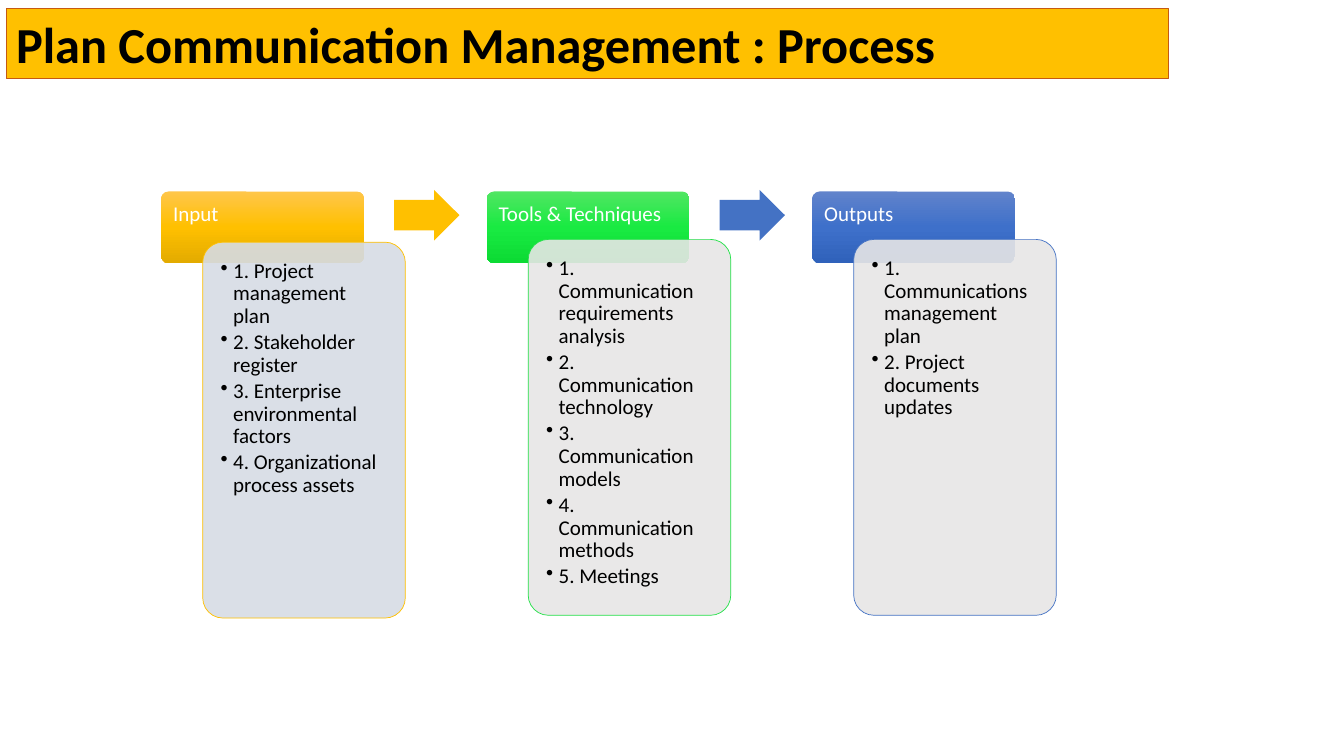
from copy import deepcopy

from lxml import etree
from pptx import Presentation
from pptx.dml.color import RGBColor
from pptx.enum.shapes import MSO_SHAPE
from pptx.enum.text import MSO_ANCHOR, PP_ALIGN
from pptx.oxml.ns import qn
from pptx.util import Pt

ROUNDED = MSO_SHAPE.ROUNDED_RECTANGLE
ARROW = MSO_SHAPE.RIGHT_ARROW
TOP, MIDDLE = MSO_ANCHOR.TOP, MSO_ANCHOR.MIDDLE
LEFT = PP_ALIGN.LEFT
TITLE_ONLY = 5
FONT = "Calibri"

COLORS = {
    "black": "000000", "white": "FFFFFF", "amber": "FFC000", "rust": "C55A11",
    "green": "23E148", "blue": "4472C4", "mist": "D6DCE5", "gray": "E7E6E6",
}
HEADER_GRADIENTS = {
    "amber": ("FFC64B", "FFC000", "E3AB00"),
    "green": ("51E663", "19EA42", "0CDB34"),
    "blue": ("6183CB", "3E70CA", "3062BB"),
}

# heading, accent, panel fill, panel top, items
STAGES = [
    ("Input", "amber", "mist", 173, [
        "1. Project management plan", "2. Stakeholder register",
        "3. Enterprise environmental factors",
        "4. Organizational process assets"]),
    ("Tools & Techniques", "green", "gray", 171, [
        "1. Communication requirements analysis",
        "2. Communication technology", "3. Communication models",
        "4. Communication methods", "5. Meetings"]),
    ("Outputs", "blue", "gray", 171, [
        "1. Communications management plan",
        "2. Project documents updates"]),
]
STAGE_LEFT, STAGE_PITCH, STAGE_WIDTH = 115.2, 232.5, 144.7
HEADER_TOP, HEADER_HEIGHT = 136.8, 51
PANEL_SHIFT, PANEL_HEIGHT = 29.6, 268.5
ARROW_SHIFT, ARROW_TOP, ARROW_WIDTH, ARROW_HEIGHT = 166.4, 135.6, 46.6, 36.2


def color(name):
    return RGBColor.from_string(COLORS[name])


def set_frame(shape, anchor, insets):
    frame = shape.text_frame
    frame.word_wrap = True
    frame.vertical_anchor = anchor
    (frame.margin_left, frame.margin_top,
     frame.margin_right, frame.margin_bottom) = map(Pt, insets)
    return frame


def add_text(paragraph, text, size, color_name, bold=False):
    paragraph.alignment = LEFT
    run = paragraph.add_run()
    run.text = text
    run.font.name = FONT
    run.font.size = Pt(size)
    run.font.bold = bold
    run.font.color.rgb = color(color_name)


def set_bullet(paragraph, indent):
    properties = paragraph._p.get_or_add_pPr()
    properties.set("marL", str(Pt(indent)))
    properties.set("indent", str(-Pt(indent)))
    etree.SubElement(properties, qn("a:buChar")).set("char", "•")


def set_outline(shape, color_name, width):
    shape.line.color.rgb = color(color_name)
    shape.line.width = Pt(width)


def set_transparent_fill(shape, color_name, opacity):
    shape.fill.solid()
    shape.fill.fore_color.rgb = color(color_name)
    rgb = shape._element.spPr.find(qn("a:solidFill")).find(qn("a:srgbClr"))
    etree.SubElement(rgb, qn("a:alpha")).set("val", str(opacity * 1000))


def set_gradient(shape, hex_stops):
    """Fill from top to bottom with three evenly spaced colours."""
    shape.fill.gradient()
    shape.fill.gradient_angle = 270
    stops = shape._element.spPr.find(qn("a:gradFill")).find(qn("a:gsLst"))
    stops.append(deepcopy(stops[0]))
    for index, (stop, value) in enumerate(
            zip(shape.fill.gradient_stops, hex_stops)):
        stop.position = index / 2
        stop.color.rgb = RGBColor.from_string(value)


def add_shape(slide, kind, box, adjustments):
    shape = slide.shapes.add_shape(kind, *map(Pt, box))
    shape.shadow.inherit = False
    for index, value in enumerate(adjustments):
        shape.adjustments[index] = value
    return shape


def add_title(slide, text):
    title = slide.shapes.title
    title.left, title.top, title.width, title.height = map(
        Pt, (4.3, 5.8, 830.2, 50.4))
    title.fill.solid()
    title.fill.fore_color.rgb = color("amber")
    set_outline(title, "rust", 0.75)
    frame = set_frame(title, MIDDLE, (7.2, 3.6, 7.2, 3.6))
    add_text(frame.paragraphs[0], text, 36, "black", bold=True)


def add_header(slide, left, text, accent):
    header = add_shape(
        slide, ROUNDED, (left, HEADER_TOP, STAGE_WIDTH, HEADER_HEIGHT), [0.1])
    set_gradient(header, HEADER_GRADIENTS[accent])
    header.line.fill.background()
    paragraph = set_frame(header, TOP, (7, 7, 7, 4)).paragraphs[0]
    paragraph.line_spacing = 0.9
    add_text(paragraph, text, 15, "white")


def add_panel(slide, left, top, items, accent, fill):
    panel = add_shape(
        slide, ROUNDED, (left, top, STAGE_WIDTH, PANEL_HEIGHT), [0.1])
    set_transparent_fill(panel, fill, 90)
    set_outline(panel, accent, 0.5)
    frame = set_frame(panel, TOP, (8.5, 8.5, 8.5, 8.5))
    for index, item in enumerate(items):
        paragraph = frame.add_paragraph() if index else frame.paragraphs[0]
        set_bullet(paragraph, 9)
        paragraph.line_spacing = 0.9
        paragraph.space_after = Pt(2.4)
        add_text(paragraph, item, 15, "black")


def add_arrow(slide, left, accent):
    arrow = add_shape(
        slide, ARROW, (left, ARROW_TOP, ARROW_WIDTH, ARROW_HEIGHT), [0.6, 0.5])
    arrow.fill.solid()
    arrow.fill.fore_color.rgb = color(accent)
    arrow.line.fill.background()


def main():
    presentation = Presentation()
    presentation.slide_width, presentation.slide_height = Pt(960), Pt(540)
    slide = presentation.slides.add_slide(
        presentation.slide_layouts[TITLE_ONLY])
    add_title(slide, "Plan Communication Management : Process")

    arrow_accents = ["amber", "blue"]
    for index, (heading, accent, fill, top, items) in enumerate(STAGES):
        left = STAGE_LEFT + index * STAGE_PITCH
        add_header(slide, left, heading, accent)
        add_panel(slide, left + PANEL_SHIFT, top, items, accent, fill)
        if index < len(arrow_accents):
            add_arrow(slide, left + ARROW_SHIFT, arrow_accents[index])

    presentation.save("out.pptx")


if __name__ == "__main__":
    main()
